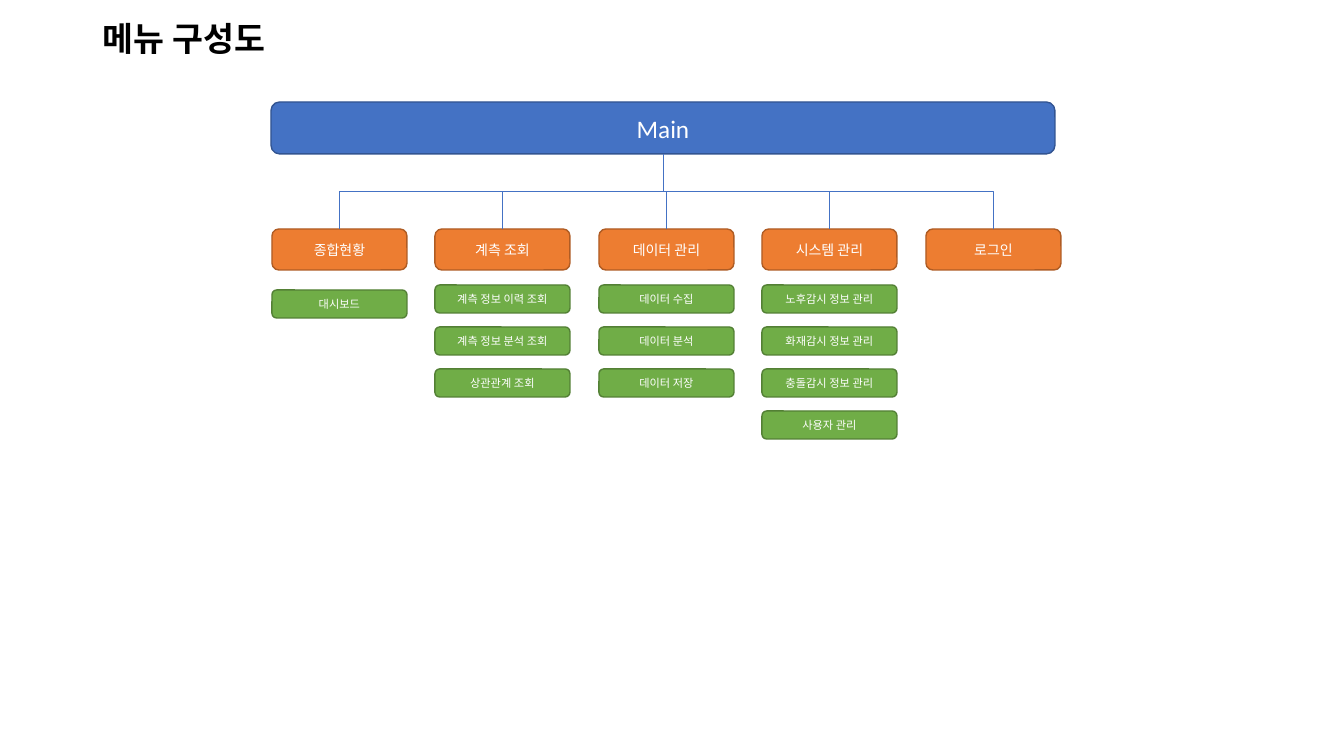
from lxml.etree import SubElement
from pptx import Presentation
from pptx.dml.color import RGBColor
from pptx.enum.shapes import MSO_CONNECTOR, MSO_SHAPE
from pptx.enum.text import MSO_ANCHOR, PP_ALIGN
from pptx.oxml.ns import qn
from pptx.util import Pt

EMU_PER_PX = 914400 / 100.8
FONT = "Calibri"
COLORS = {
    "black": "000000",
    "white": "FFFFFF",
    "main": "4472C4",
    "main_edge": "325491",
    "section": "ED7D31",
    "section_edge": "AF5C24",
    "page": "70AD47",
    "page_edge": "538035",
}
MENU = {
    "종합현황": ["대시보드"],
    "계측 조회": ["계측 정보 이력 조회", "계측 정보 분석 조회", "상관관계 조회"],
    "데이터 관리": ["데이터 수집", "데이터 분석", "데이터 저장"],
    "시스템 관리": ["노후감시 정보 관리", "화재감시 정보 관리", "충돌감시 정보 관리", "사용자 관리"],
    "로그인": [],
}


def px(length):
    return round(length * EMU_PER_PX)


def color(name):
    return RGBColor.from_string(COLORS[name])


def write(frame, text, size, ink="white", bold=False, align=PP_ALIGN.CENTER, spacing=None):
    frame.word_wrap = True
    frame.vertical_anchor = MSO_ANCHOR.MIDDLE
    paragraph = frame.paragraphs[0]
    paragraph.alignment = align
    paragraph.line_spacing = spacing
    run = paragraph.add_run()
    run.text = text
    run.font.name = FONT
    run.font.size = Pt(size)
    run.font.bold = bold
    run.font.color.rgb = color(ink)


class MenuSlide:
    def __init__(self, presentation):
        self.shapes = presentation.slides.add_slide(presentation.slide_layouts[6]).shapes

    def title(self, text, left, top, width, height):
        heading = self.shapes.add_textbox(px(left), px(top), px(width), px(height))
        write(heading.text_frame, text, 24, ink="black", bold=True, align=PP_ALIGN.LEFT, spacing=0.9)

    def box(self, text, left, top, width, height, level, size, inset=0):
        node = self.shapes.add_shape(
            MSO_SHAPE.ROUNDED_RECTANGLE, px(left), px(top), px(width), px(height))
        node.shadow.inherit = False
        node.fill.solid()
        node.fill.fore_color.rgb = color(level)
        node.line.color.rgb = color(level + "_edge")
        node.line.width = Pt(1)
        frame = node.text_frame
        frame.margin_left = frame.margin_right = px(inset)
        frame.margin_top = frame.margin_bottom = px(inset // 2)
        write(frame, text, size)
        return node

    def branch(self, parent, child):
        start_x = parent.left + parent.width // 2
        start_y = parent.top + parent.height
        end_x = child.left + child.width // 2
        drop, reach = child.top - start_y, abs(end_x - start_x)
        link = self.shapes.add_connector(MSO_CONNECTOR.ELBOW, start_x, start_y, end_x, child.top)
        link.begin_connect(parent, 2)
        link.end_connect(child, 0)
        link.left = (start_x + end_x - drop) // 2
        link.top = (start_y + child.top - reach) // 2
        link.width, link.height = drop, reach
        rightward = end_x > start_x
        properties = link._element.spPr
        transform = properties.find(qn("a:xfrm"))
        transform.set("rot", str((270 if rightward else 90) * 60000))
        transform.set("flipH", "1" if rightward else "0")
        transform.set("flipV", "0")
        link.line.color.rgb = color("main")
        link.line.width = Pt(0.5)
        SubElement(properties, qn("a:effectLst"))


def main():
    presentation = Presentation()
    presentation.slide_width = px(1344)
    presentation.slide_height = px(756)
    slide = MenuSlide(presentation)
    slide.title("메뉴 구성도", 93, 15, 1159, 52)
    home = slide.box("Main", 271, 102, 784, 52, "main", 18, inset=10)
    for column, (section_name, pages) in enumerate(MENU.items()):
        left = 272 + column * 327 // 2
        section = slide.box(section_name, left, 229, 135, 41, "section", 10)
        slide.branch(home, section)
        first_top = 290 if len(pages) == 1 else 285
        for row, page_name in enumerate(pages):
            slide.box(page_name, left, first_top + row * 42, 135, 28, "page", 8)
    presentation.save("out.pptx")


if __name__ == "__main__":
    main()
